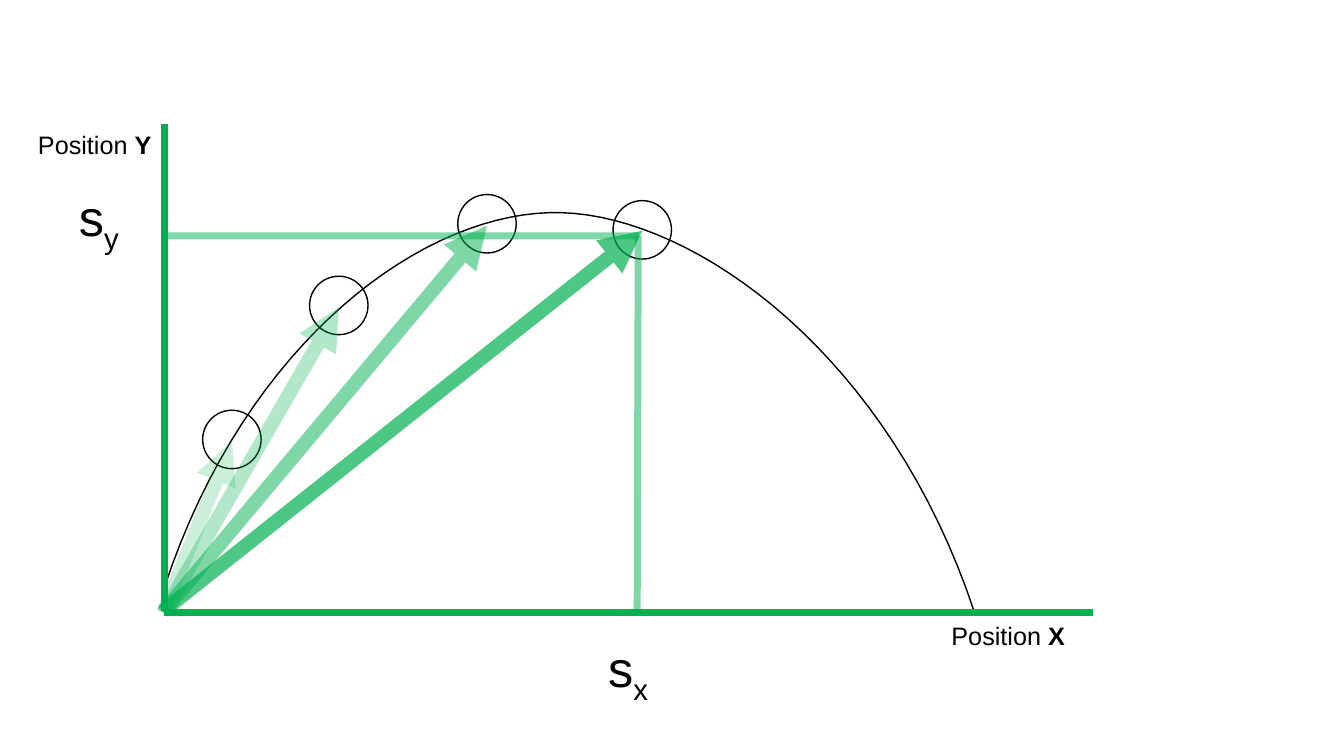
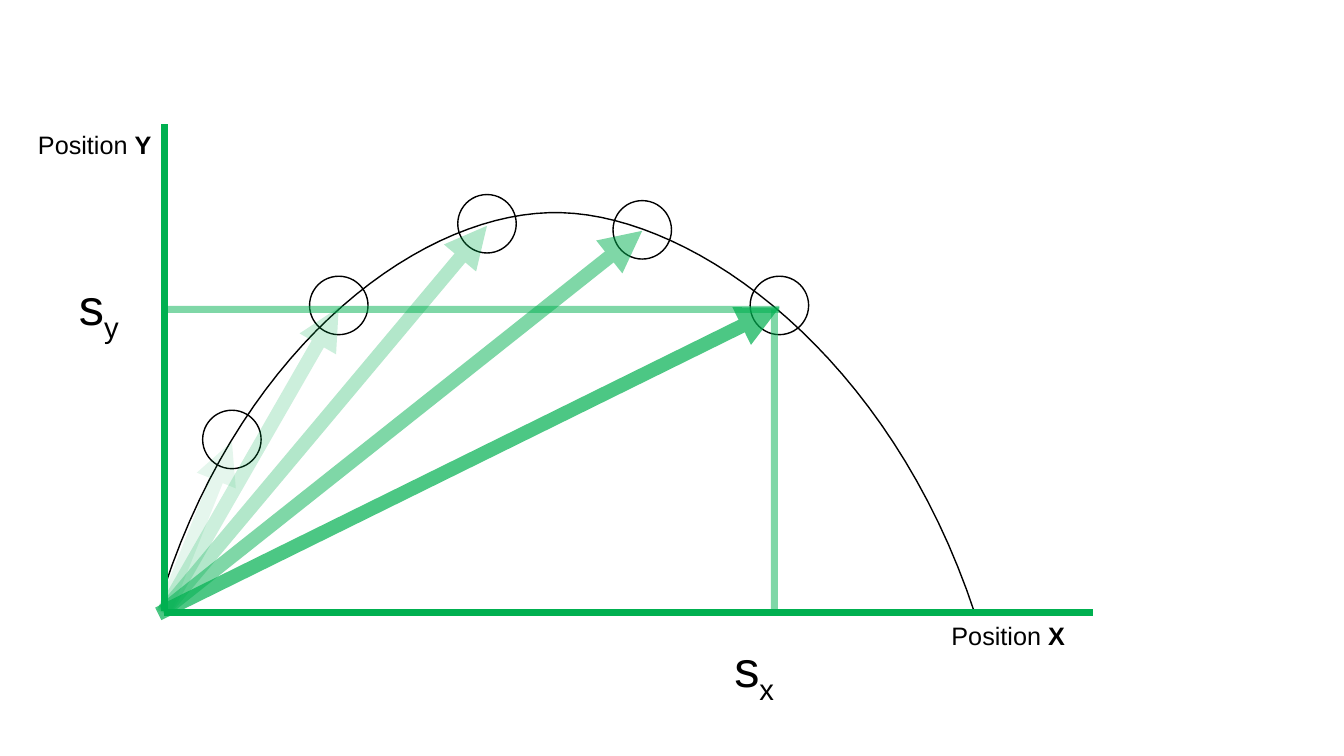
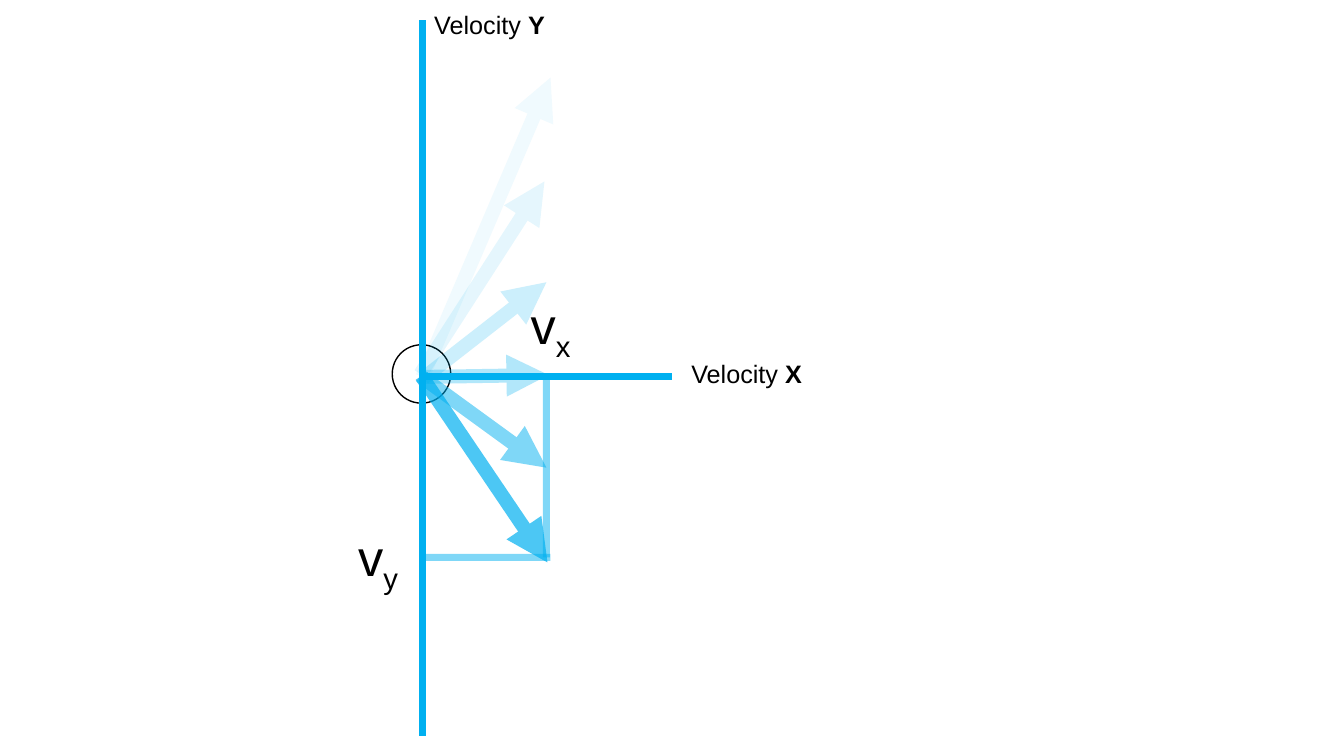
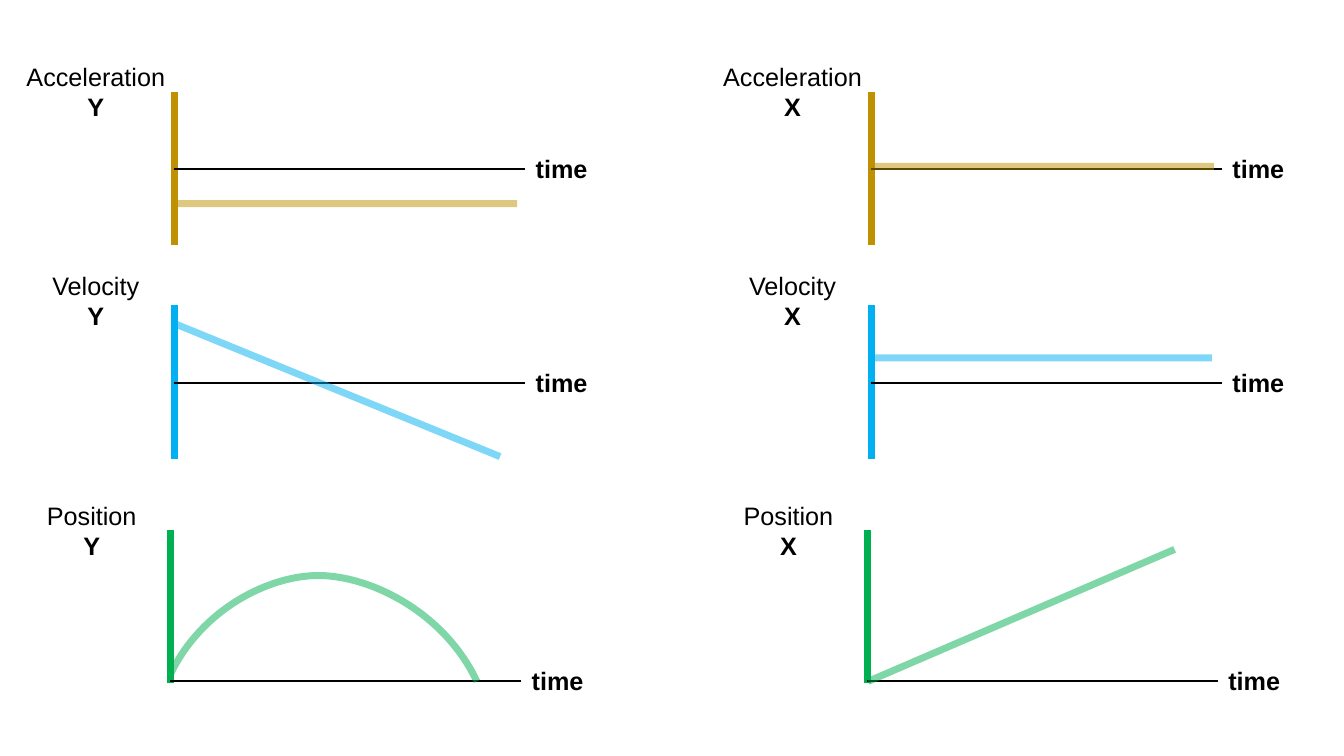
"""Build four slides on the position, velocity and acceleration of a thrown ball."""
from dataclasses import dataclass

from lxml import etree
from pptx import Presentation
from pptx.dml.color import RGBColor
from pptx.enum.shapes import MSO_CONNECTOR, MSO_SHAPE
from pptx.enum.text import MSO_AUTO_SIZE, PP_ALIGN
from pptx.oxml.ns import qn
from pptx.util import Inches, Pt

STRAIGHT = MSO_CONNECTOR.STRAIGHT
OVAL = MSO_SHAPE.OVAL
CENTER = PP_ALIGN.CENTER
GROW = MSO_AUTO_SIZE.SHAPE_TO_FIT_TEXT


@dataclass(frozen=True)
class Theme:
    font: str = "Arial"
    black: str = "000000"
    green: str = "00B050"
    blue: str = "00B0F0"
    gold: str = "BF9000"
    label: int = 18
    symbol: int = 36
    thin: float = 1
    rule: float = 1.5
    bold: float = 5
    arrow: float = 10
    faint: int = 50


theme = Theme()


def write(slide, at, text, tail="", size=theme.label, bold=False, sub=False, stack=False):
    frame = slide.shapes.add_textbox(*map(Inches, at)).text_frame
    frame.word_wrap = False
    frame.auto_size = GROW
    para = frame.paragraphs[0]
    para.alignment = CENTER
    for part, heavy in ((text, bold), (tail, not sub)):
        if not part:
            continue
        if part is tail and stack:
            para = frame.add_paragraph()
            para.alignment = CENTER
        run = para.add_run()
        run.text = part
        run.font.name = theme.font
        run.font.size = Pt(size)
        run.font.bold = heavy
        run.font.color.rgb = RGBColor.from_string(theme.black)
        if part is tail and sub:
            run.font._element.set("baseline", "-25000")


def draw(slide, points, color=theme.black, width=theme.bold, fade=100, head=False, ball=False):
    spots = [(Inches(x), Inches(y)) for x, y in points]
    if ball:
        (x, y), = spots
        shape = slide.shapes.add_shape(OVAL, x, y, Inches(0.58), Inches(0.58))
        shape.fill.background()
    elif len(spots) == 2:
        shape = slide.shapes.add_connector(STRAIGHT, *spots[0], *spots[1])
    else:
        trail = []
        for first in range(0, len(spots) - 1, 3):
            a, b, c, d = spots[first:first + 4]
            for step in range(1, 33):
                t = step / 32
                u = 1 - t
                trail.append([u**3 * a[i] + 3 * u * u * t * b[i] + 3 * u * t * t * c[i] + t**3 * d[i]
                              for i in (0, 1)])
        path = slide.shapes.build_freeform(*spots[0])
        path.add_line_segments(trail, close=False)
        shape = path.convert_to_shape()
        shape.fill.background()
    shape.line.width = Pt(width)
    shape.line.color.rgb = RGBColor.from_string(color)
    props = shape._element.spPr
    line = props.find(qn("a:ln"))
    if fade < 100:
        etree.SubElement(line.find(".//" + qn("a:srgbClr")), qn("a:alpha"), val=str(fade * 1000))
    if head:
        etree.SubElement(line, qn("a:tailEnd"), type="triangle")
    etree.SubElement(props, qn("a:effectLst"))


deck = Presentation()
deck.slide_width = Inches(13.33)
deck.slide_height = Inches(7.5)
blank = deck.slide_layouts[6]

FADES = (5, 10, 20, 30, 50, 70)
flight = ((1.63, 5.83), (2.44, 3.37), (4.23, 2.07), (5.57, 2.11),
          (6.91, 2.15), (8.83, 3.53), (9.67, 6.09))
balls = ((2.01, 4.07), (3.07, 2.74), (4.54, 1.93), (6.08, 1.99), (7.44, 2.74))
reach = (((1.62, 6.08), (2.3, 4.38)), ((1.62, 6.08), (3.36, 3.05)),
         ((1.62, 6.07), (4.83, 2.24)), ((1.62, 6.06), (6.37, 2.29)),
         ((1.57, 6.09), (7.73, 3.05)))
speed = (((4.19, 3.74), (5.46, 0.77)), ((4.17, 3.71), (5.4, 1.8)),
         ((4.2, 3.75), (5.42, 2.8)), ((4.17, 3.74), (5.44, 3.72)),
         ((4.17, 3.73), (5.42, 4.64)), ((4.18, 3.73), (5.43, 5.58)))

place = dict(
    name="Position ", sign="s", color=theme.green, curve=flight,
    axes=(((1.63, 6.06), (1.63, 1.23)), ((1.63, 6.08), (10.84, 6.08))),
    names=((0.27, 1.23, 1.34, 0.4), (9.33, 6.1, 1.34, 0.4)),
)
plots = (
    dict(place, balls=balls[:4], arrows=reach[:4],
         guides=(((6.32, 6.09), (6.33, 2.34)), ((1.62, 2.34), (6.33, 2.34))),
         signs=((0.67, 1.8), (5.92, 6.27))),
    dict(place, balls=balls, arrows=reach,
         guides=(((7.68, 6.09), (7.68, 3.07)), ((1.62, 3.07), (7.73, 3.07))),
         signs=((0.67, 2.68), (7.17, 6.27))),
    dict(name="Velocity ", sign="v", color=theme.blue, curve=None,
         axes=(((4.19, 7.3), (4.19, 0.2)), ((4.19, 3.74), (6.67, 3.74))),
         names=((4.2, 0.04, 1.31, 0.4), (6.75, 3.51, 1.31, 0.4)),
         balls=((3.89, 3.42),), arrows=speed,
         guides=(((5.42, 5.53), (5.42, 3.74)), ((4.19, 5.53), (5.46, 5.53))),
         signs=((3.44, 5.17), (5.15, 2.87))),
)

for plot in plots:
    slide = deck.slides.add_slide(blank)
    color = plot["color"]
    if plot["curve"]:
        draw(slide, plot["curve"], width=theme.thin)
    for spot in plot["balls"]:
        draw(slide, [spot], width=theme.thin, ball=True)
    for ends, fade in zip(plot["arrows"], FADES[-len(plot["arrows"]):]):
        draw(slide, ends, color, theme.arrow, fade, head=True)
    for ends in plot["guides"]:
        draw(slide, ends, color, fade=theme.faint)
    for ends in plot["axes"]:
        draw(slide, ends, color)
    for axis, at, spot in zip("YX", plot["names"], plot["signs"]):
        write(slide, at, plot["name"], axis)
        write(slide, (*spot, 0.62, 0.71), plot["sign"], axis.lower(), size=theme.symbol, sub=True)

SHIFT = 6.91
arc = ((1.69, 6.69), (2, 6.04), (2.68, 5.7), (3.18, 5.71),
       (3.69, 5.72), (4.41, 6.08), (4.73, 6.76))
rows = (
    ("Acceleration", theme.gold, 1.73, 0.91, 1.68, 0.56, 1.59,
     (((1.73, 2.02), (5.13, 2.02)), ((8.63, 1.65), (12.04, 1.65)))),
    ("Velocity", theme.blue, 1.73, 3.03, 3.8, 2.63, 1.07,
     (((1.73, 3.21), (4.96, 4.53)), ((8.61, 3.55), (12.02, 3.55)))),
    ("Position", theme.green, 1.69, 5.26, 6.76, 4.91, 1.1,
     (arc, ((8.61, 6.76), (11.65, 5.45)))),
)

slide = deck.slides.add_slide(blank)
for name, color, edge, top, zero, head, wide, trends in rows:
    for col, (axis, trend) in enumerate(zip("YX", trends)):
        x = edge + col * SHIFT
        draw(slide, ((x, top + 1.52), (x, top)), color)
        draw(slide, ((x, zero), (x + 3.48, zero)), width=theme.rule)
        draw(slide, trend, color, fade=theme.faint)
        write(slide, (x - 0.78 - wide / 2, head, wide, 0.71), name, axis, stack=True)
        write(slide, (x + 3.48, zero - 0.21, 0.72, 0.4), "time", bold=True)

deck.save("out.pptx")
